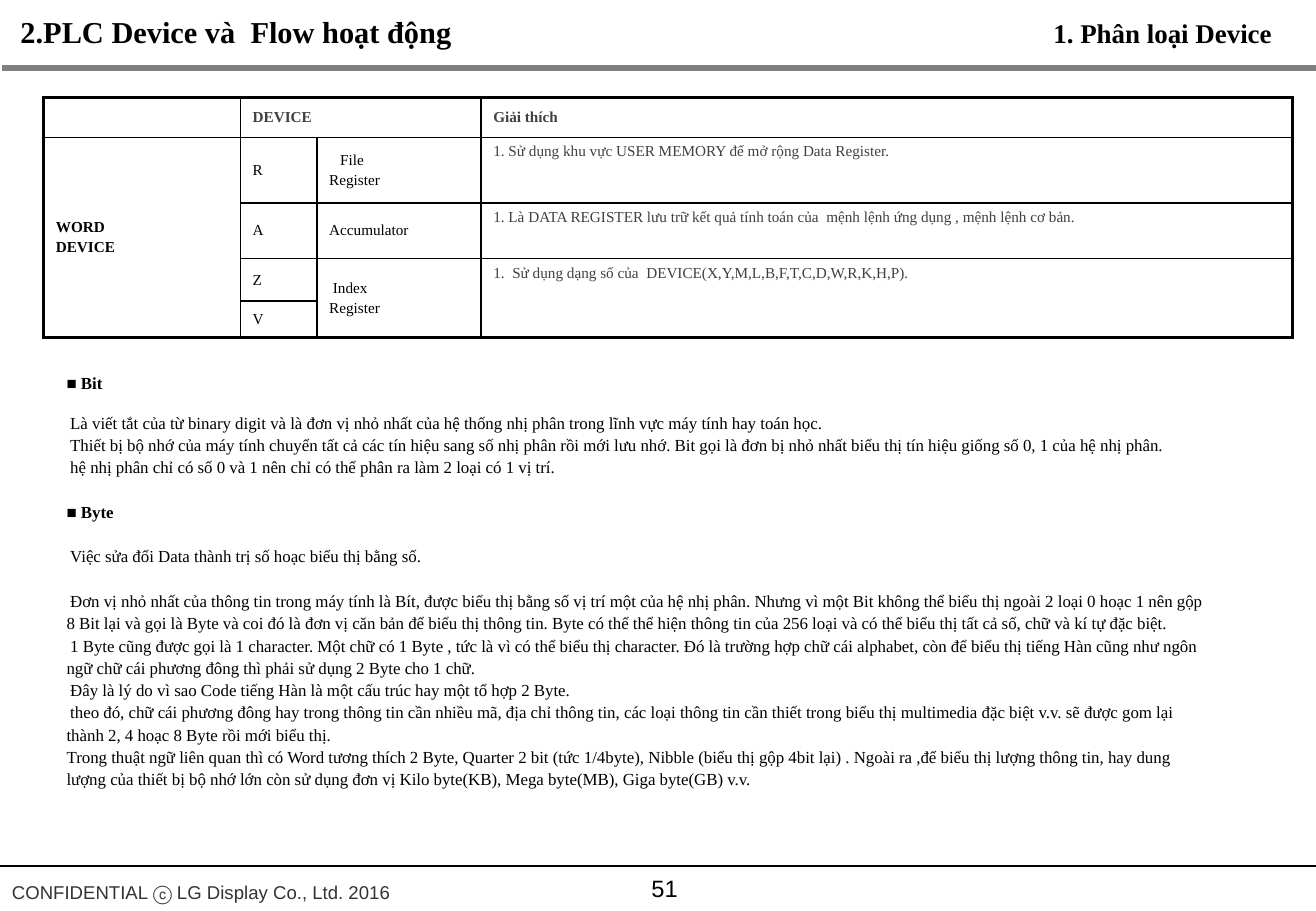
from lxml.etree import SubElement
from pptx import Presentation
from pptx.dml.color import RGBColor
from pptx.enum.shapes import MSO_CONNECTOR
from pptx.enum.text import MSO_ANCHOR, MSO_AUTO_SIZE, PP_ALIGN
from pptx.oxml import parse_xml
from pptx.oxml.ns import nsdecls, qn
from pptx.util import Emu, Pt

PX = 9144  # EMU per px, 100 px to the inch
BLACK = RGBColor(0x00, 0x00, 0x00)
DARK = RGBColor(0x33, 0x33, 0x33)
TEXT_GRAY = RGBColor(0x40, 0x40, 0x40)
RULE_GRAY = RGBColor(0x80, 0x80, 0x80)
SERIF, SANS = "Times New Roman", "Arial"
THICK, THIN = 2.25, 1


def px(n):
    return Emu(n * PX)


class Deck:
    def __init__(self, width, height):
        self.prs = Presentation()
        self.prs.slide_width, self.prs.slide_height = px(width), px(height)
        self.s = self.prs.slides.add_slide(self.prs.slide_layouts[6])

    def line(self, x1, y1, x2, y2, color, width):
        cn = self.s.shapes.add_connector(
            MSO_CONNECTOR.STRAIGHT, px(x1), px(y1), px(x2), px(y2))
        cn.line.color.rgb = color
        cn.line.width = Pt(width)
        SubElement(cn._element.spPr, qn("a:effectLst"))

    def style(self, p, text, size, font=SERIF, color=BLACK, bold=False,
              spacing=None, before=0, left=0, first=0):
        p.text = text
        pPr = p._p.get_or_add_pPr()
        pPr.set("marL", str(px(left)))
        pPr.set("indent", str(px(first)))
        p.line_spacing = spacing
        p.space_before = Pt(before)
        f = p.font
        f.name, f.size, f.bold = font, Pt(size), bold
        f.color.rgb = color

    def text(self, x, y, w, h, paragraphs, wrap=True, align=PP_ALIGN.LEFT,
             anchor=MSO_ANCHOR.TOP, **style):
        tf = self.s.shapes.add_textbox(px(x), px(y), px(w), px(h)).text_frame
        tf.word_wrap = wrap
        tf.auto_size = MSO_AUTO_SIZE.NONE if wrap else MSO_AUTO_SIZE.SHAPE_TO_FIT_TEXT
        tf.vertical_anchor = anchor
        for i, (text, extra) in enumerate(paragraphs):
            p = tf.add_paragraph() if i else tf.paragraphs[0]
            self.style(p, text, **{**style, **extra})
            p.alignment = align

    def table(self, x, y, cols, rows, merges, texts):
        tb = self.s.shapes.add_table(
            len(rows), len(cols), px(x), px(y), px(sum(cols)), px(sum(rows))).table
        tb.first_row = tb.horz_banding = False
        for col, w in zip(tb.columns, cols):
            col.width = px(w)
        for row, h in zip(tb.rows, rows):
            row.height = px(h)
        for start, end in merges:
            tb.cell(*start).merge(tb.cell(*end))
        for r in range(len(rows)):
            for c in range(len(cols)):
                cell = tb.cell(r, c)
                self.cell_text(cell, *texts.get((r, c), ([("", 0)], {})))
                self.borders(cell, (
                    ("lnL", c == 0),
                    ("lnR", c + cell.span_width == len(cols)),
                    ("lnT", r == 0),
                    ("lnB", r + cell.span_height == len(rows))))

    def cell_text(self, cell, lines, style, anchor=MSO_ANCHOR.MIDDLE):
        cell.fill.background()
        cell.vertical_anchor = anchor
        tf = cell.text_frame
        for i, (text, left) in enumerate(lines):
            p = tf.add_paragraph() if i else tf.paragraphs[0]
            self.style(p, text, 9, left=left, before=1.8 if i else 0, **style)

    def borders(self, cell, edges):
        tcPr = cell._tc.get_or_add_tcPr()
        for i, (tag, outer) in enumerate(edges):
            width = Pt(THICK if outer else THIN)
            tcPr.insert(i, parse_xml(
                f'<a:{tag} {nsdecls("a")} w="{width}"><a:solidFill>'
                f'<a:srgbClr val="{BLACK}"/></a:solidFill></a:{tag}>'))


def main():
    deck = Deck(1083, 750)

    # Header and footer
    deck.line(2, 56, 1083, 56, RULE_GRAY, 3)
    deck.line(0, 713, 1083, 713, BLACK, 0.75)
    deck.text(0, 717, 334, 30, [("CONFIDENTIAL ⓒ LG Display Co., Ltd. 2016", {})],
              wrap=False, size=11, font=SANS, color=DARK, spacing=1.2)
    deck.text(443, 706, 208, 50, [("51", {})], align=PP_ALIGN.CENTER,
              anchor=MSO_ANCHOR.MIDDLE, size=14, font=SANS)
    deck.text(7, 6, 379, 40, [("2.PLC Device và  Flow hoạt động", {})],
              wrap=False, size=18, bold=True)
    deck.text(857, 9, 202, 37, [("1. Phân loại Device", {})],
              wrap=False, size=16, bold=True)

    # Device table: (row, column) -> lines with left indent, style, anchor
    head = {"color": TEXT_GRAY, "bold": True}
    note = {"color": TEXT_GRAY}
    top = MSO_ANCHOR.TOP
    texts = {
        (0, 1): ([("DEVICE", 0)], head),
        (0, 3): ([("Giải thích", 0)], head),
        (1, 0): ([("WORD", 0), ("DEVICE", 0)], {"bold": True}),
        (1, 1): ([("R", 0)], {}),
        (1, 2): ([("File", 9), ("Register", 0)], {}),
        (1, 3): ([("1. Sử dụng khu vực USER MEMORY để mở rộng Data Register.", 0)], note, top),
        (2, 1): ([("A", 0)], {}),
        (2, 2): ([("Accumulator", 0)], {}),
        (2, 3): ([("1. Là DATA REGISTER lưu trữ kết quả tính toán của  mệnh lệnh ứng dụng , "
                   "mệnh lệnh cơ bản.", 0)], note, top),
        (3, 1): ([("Z", 0)], {}),
        (3, 2): ([("Index", 3), ("Register", 0)], {}),
        (3, 3): ([("1.  Sử dụng dạng số của  DEVICE(X,Y,M,L,B,F,T,C,D,W,R,K,H,P).", 0)], note, top),
        (4, 1): ([("V", 0)], {}),
    }
    merges = [((0, 1), (0, 2)), ((1, 0), (4, 0)), ((3, 2), (4, 2)), ((3, 3), (4, 3))]
    deck.table(36, 80, [162, 63, 135, 668], [33, 54, 46, 35, 30], merges, texts)

    # Bit and Byte definitions
    inset = {"first": 3}
    gap = 13.2
    deck.text(45, 300, 957, 406, [
        ("■ Bit", {"bold": True}),
        ("Là viết tắt của từ binary digit và là đơn vị nhỏ nhất của hệ thống nhị phân "
         "trong lĩnh vực máy tính hay toán học.", {**inset, "before": 10.5}),
        ("Thiết bị bộ nhớ của máy tính chuyển tất cả các tín hiệu sang số nhị phân rồi mới "
         "lưu nhớ. Bit gọi là đơn bị nhỏ nhất biểu thị tín hiệu giống số 0, 1 của hệ nhị "
         "phân.", inset),
        ("hệ nhị phân chỉ có số 0 và 1 nên chỉ có thể phân ra làm 2 loại có 1 vị trí.", inset),
        ("■ Byte", {"bold": True, "before": gap}),
        ("Việc sửa đổi Data thành trị số hoạc biểu thị bằng số.", {**inset, "before": gap}),
        ("Đơn vị nhỏ nhất của thông tin trong máy tính là Bít, được biểu thị bằng số vị trí "
         "một của hệ nhị phân. Nhưng vì một Bit không thể biểu thị ngoài 2 loại 0 hoạc 1 nên "
         "gộp 8 Bit lại và gọi là Byte và coi đó là đơn vị căn bản để biểu thị thông tin. "
         "Byte có thể thể hiện thông tin của 256 loại và có thể biểu thị tất cả số, chữ và "
         "kí tự đặc biệt.", {**inset, "before": gap}),
        ("1 Byte cũng được gọi là 1 character. Một chữ có 1 Byte , tức là vì có thể biểu thị "
         "character. Đó là trường hợp chữ cái alphabet, còn để biểu thị tiếng Hàn cũng như "
         "ngôn ngữ chữ cái phương đông thì phải sử dụng 2 Byte cho 1 chữ.", inset),
        ("Đây là lý do vì sao Code tiếng Hàn là một cấu trúc hay một tổ hợp 2 Byte.", inset),
        ("theo đó, chữ cái phương đông hay trong thông tin cần nhiều mã, địa chỉ thông tin, "
         "các loại thông tin cần thiết trong biểu thị multimedia đặc biệt v.v. sẽ được gom "
         "lại thành 2, 4 hoạc 8 Byte rồi mới biểu thị.", inset),
        ("Trong thuật ngữ liên quan thì có Word tương thích 2 Byte, Quarter 2 bit (tức "
         "1/4byte), Nibble (biểu thị gộp 4bit lại) . Ngoài ra ,để biểu thị lượng thông tin, "
         "hay dung lượng của thiết bị bộ nhớ lớn còn sử dụng đơn vị Kilo byte(KB), Mega "
         "byte(MB), Giga byte(GB) v.v.", {}),
    ], size=10, spacing=1.1)

    deck.prs.save("out.pptx")


if __name__ == "__main__":
    main()
